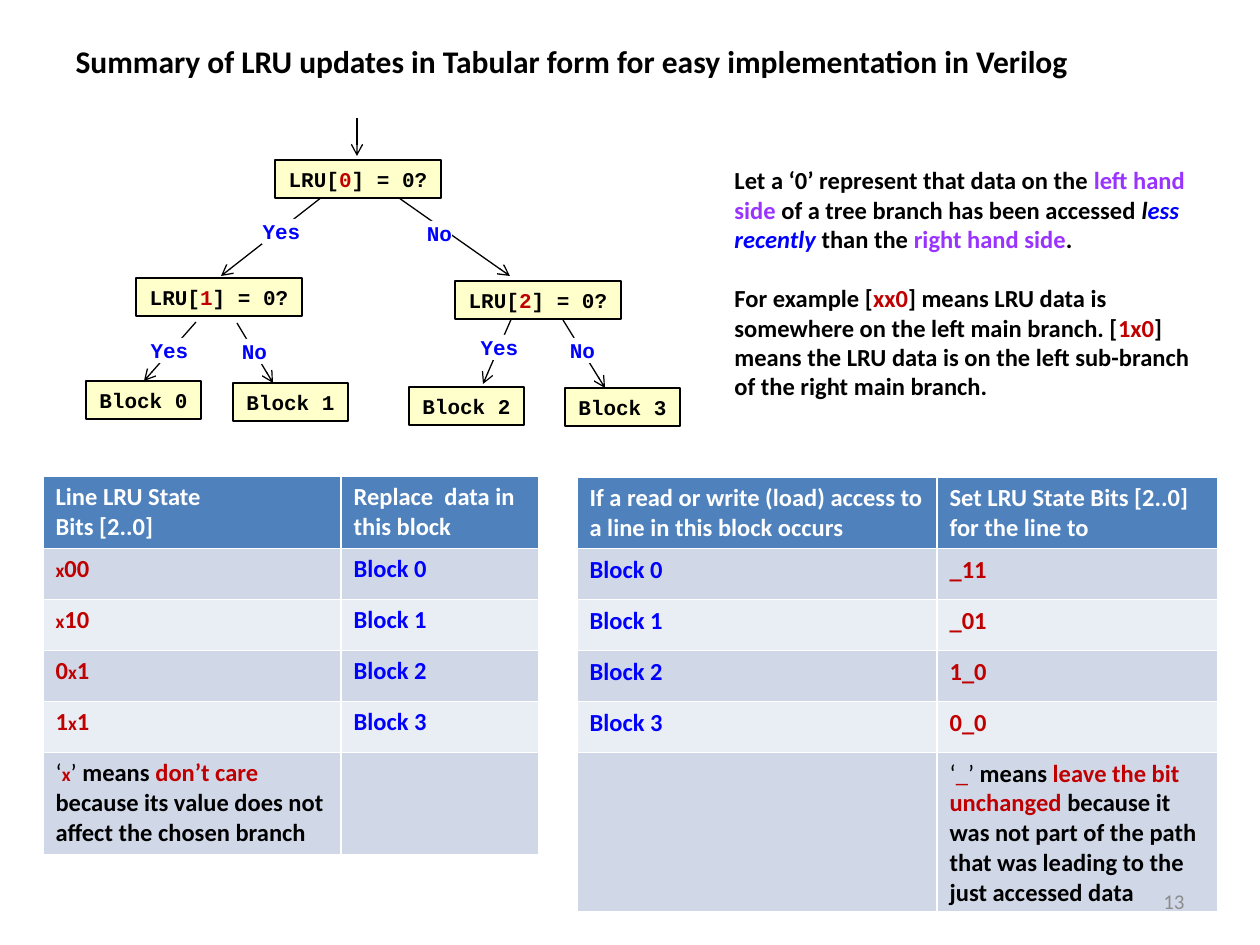
from lxml import etree
from pptx import Presentation
from pptx import util as u
from pptx.dml.color import RGBColor
from pptx.enum import shapes, text
from pptx.oxml.ns import qn

PX = 914400 / 126

THEME = {
    "sans": "Calibri", "mono": "Courier New",
    "title": 18, "body": 14, "small": 11, "tree": 12, "number": 12,
    "black": "000000", "white": "FFFFFF", "red": "C00000", "blue": "0000FF",
    "violet": "9933FF", "grey": "8C8C8C", "node": "FFFFCC",
    "head": "4F81BD", "bands": ("D0D8E8", "E9EDF4"), "line": 0.75,
}
STYLES = {
    "black": {}, "white": {}, "red": {}, "blue": {}, "violet": {},
    "small red": {"size": u.Pt(THEME["small"])},
    "plain black": {"bold": False},
    "plain red": {"bold": False},
    "plain grey": {"bold": False},
    "italic black": {"italic": True},
    "italic blue": {"italic": True},
}

TITLE = "Summary of LRU updates in Tabular form for easy implementation in Verilog"
NOTES = [
    [("Let a ‘0’ represent that data on the ", "black"), ("left hand side", "violet"),
     (" of a tree branch has been accessed ", "black"), ("l", "italic black"),
     ("ess recently", "italic blue"), (" than the ", "black"),
     ("right hand side", "violet"), (".", "black")],
    [("For example [", "black"), ("xx0", "red"),
     ("] means LRU data is somewhere on the left main branch. [", "black"),
     ("1x0", "red"),
     ("] means the LRU data is on the left sub-branch of the right main branch.", "black")],
]
TESTS = [(275, 160), (136, 278), (455, 281)]
BLOCKS = [(86, 381), (233, 383), (409, 387), (565, 388)]
ARROWS = [
    (357, 118, 357, 156), (322, 197, 221, 276), (399, 198, 510, 276),
    (196, 322, 144, 381), (237, 323, 273, 383),
    (513, 315, 483, 384), (563, 320, 605, 388),
]
ANSWERS = {
    "Yes": (39, [(262, 219), (150, 338), (480, 335)]),
    "No": (25, [(427, 221), (242, 339), (570, 338)]),
}
X = ("x", "small red")
REPLACE = {
    "at": (43, 476), "cols": (298, 198),
    "head": ["Line LRU State\nBits [2..0]", "Replace  data in this block"],
    "rows": [
        [[X, ("00", "red")], [("Block 0", "blue")]],
        [[X, ("10", "red")], [("Block 1", "blue")]],
        [[("0", "red"), X, ("1", "red")], [("Block 2", "blue")]],
        [[("1", "red"), X, ("1", "red")], [("Block 3", "blue")]],
        [[("‘", "plain black"), X, ("’ ", "plain black"), ("means ", "black"),
          ("don’t care ", "red"),
          ("because its value does not affect the chosen branch", "black")], []],
    ],
}
UPDATE = {
    "at": (577, 477), "cols": (360, 281),
    "head": ["If a read or write (load) access to a line in this block occurs",
             "Set LRU State Bits [2..0] for the line to"],
    "rows": [[[(f"Block {i}", "blue")], [(bits, "red")]]
             for i, bits in enumerate(["_11", "_01", "1_0", "0_0"])] + [
        [[], [("‘", "plain black"), ("_", "plain red"), ("’ ", "plain black"),
              ("means ", "black"), ("leave the bit unchanged ", "red"),
              ("because it was not part of the path that was leading to "
               "the just accessed data", "black")]],
    ],
}
ROW_H = 51
BOX_H = 38


def px(*values):
    return [u.Emu(round(v * PX)) for v in values]


def rgb(name):
    return RGBColor.from_string(THEME.get(name, name))


def write(p, runs, size="body", face="sans"):
    for words, style in runs:
        for i, line in enumerate(words.split("\n")):
            if i:
                p.add_line_break()
            r = p.add_run()
            r.text = line
            base = {"name": THEME[face], "size": u.Pt(THEME[size]), "bold": True}
            for key, value in {**base, **STYLES[style]}.items():
                setattr(r.font, key, value)
            r.font.color.rgb = rgb(style.split()[-1])


def set_frame(tf, **values):
    for key, value in values.items():
        setattr(tf, key, value)


def add_box(s, x, y, w, h, runs, fill, outlined):
    sp = s.shapes.add_shape(shapes.MSO_SHAPE.RECTANGLE, *px(x, y, w, h))
    sp.shadow.inherit = False
    sp.fill.solid()
    sp.fill.fore_color.rgb = rgb(fill)
    if outlined:
        sp.line.color.rgb = rgb("black")
        sp.line.width = u.Pt(THEME["line"])
    else:
        sp.line.fill.background()
    tf = sp.text_frame
    set_frame(tf, word_wrap=False, vertical_anchor=text.MSO_ANCHOR.MIDDLE,
              margin_left=0, margin_right=0, margin_top=0, margin_bottom=0)
    tf.paragraphs[0].alignment = text.PP_ALIGN.CENTER
    write(tf.paragraphs[0], runs, "tree", "mono")


def add_arrow(s, ends):
    line = s.shapes.add_connector(shapes.MSO_CONNECTOR.STRAIGHT, *px(*ends))
    line.line.color.rgb = rgb("black")
    line.line.width = u.Pt(THEME["line"])
    etree.SubElement(line.line._get_or_add_ln(), qn("a:tailEnd"), type="arrow")
    etree.SubElement(line._element.spPr, qn("a:effectLst"))


def add_grid(s, data):
    rows = [[[(h, "white")] for h in data["head"]]] + data["rows"]
    size = (sum(data["cols"]), ROW_H * len(rows))
    table = s.shapes.add_table(len(rows), len(data["cols"]), *px(*data["at"], *size)).table
    for col, width in zip(table.columns, px(*data["cols"])):
        col.width = width
    for i, row in enumerate(rows):
        for j, runs in enumerate(row):
            cell = table.cell(i, j)
            cell.fill.solid()
            cell.fill.fore_color.rgb = rgb(THEME["bands"][(i - 1) % 2] if i else "head")
            write(cell.text_frame.paragraphs[0], runs)


def add_text(s, box, paragraphs, size="body", align=text.PP_ALIGN.LEFT,
             anchor=text.MSO_ANCHOR.TOP):
    tf = s.shapes.add_textbox(*px(*box)).text_frame
    set_frame(tf, word_wrap=True, vertical_anchor=anchor)
    for i, runs in enumerate(paragraphs):
        p = tf.add_paragraph() if i else tf.paragraphs[0]
        p.alignment = align
        p.space_before = u.Pt(17 if i else 0)
        write(p, runs, size)


def main():
    prs = Presentation()
    prs.slide_width, prs.slide_height = px(1260, 945)
    s = prs.slides.add_slide(prs.slide_layouts[5])

    title = s.shapes.title
    title.left, title.top, title.width, title.height = px(63, 34, 1159, 53)
    set_frame(title.text_frame, word_wrap=True, vertical_anchor=text.MSO_ANCHOR.MIDDLE)
    title.text_frame.paragraphs[0].alignment = text.PP_ALIGN.LEFT
    write(title.text_frame.paragraphs[0], [(TITLE, "black")], "title")

    add_grid(s, REPLACE)
    for ends in ARROWS:
        add_arrow(s, ends)
    for i, (x, y) in enumerate(TESTS):
        runs = [("LRU[", "black"), (str(i), "red"), ("] = 0?", "black")]
        add_box(s, x, y, 166, BOX_H, runs, "node", True)
    for i, (x, y) in enumerate(BLOCKS):
        add_box(s, x, y, 115, BOX_H, [(f"Block {i}", "black")], "node", True)
    for answer, (width, spots) in ANSWERS.items():
        for x, y in spots:
            add_box(s, x, y, width, 25, [(answer, "blue")], "white", False)
    add_text(s, (722, 159, 499, 251), NOTES)
    add_grid(s, UPDATE)
    add_text(s, (903, 876, 294, 50), [[("13", "plain grey")]], "number",
             text.PP_ALIGN.RIGHT, text.MSO_ANCHOR.MIDDLE)
    prs.save("out.pptx")


if __name__ == "__main__":
    main()
